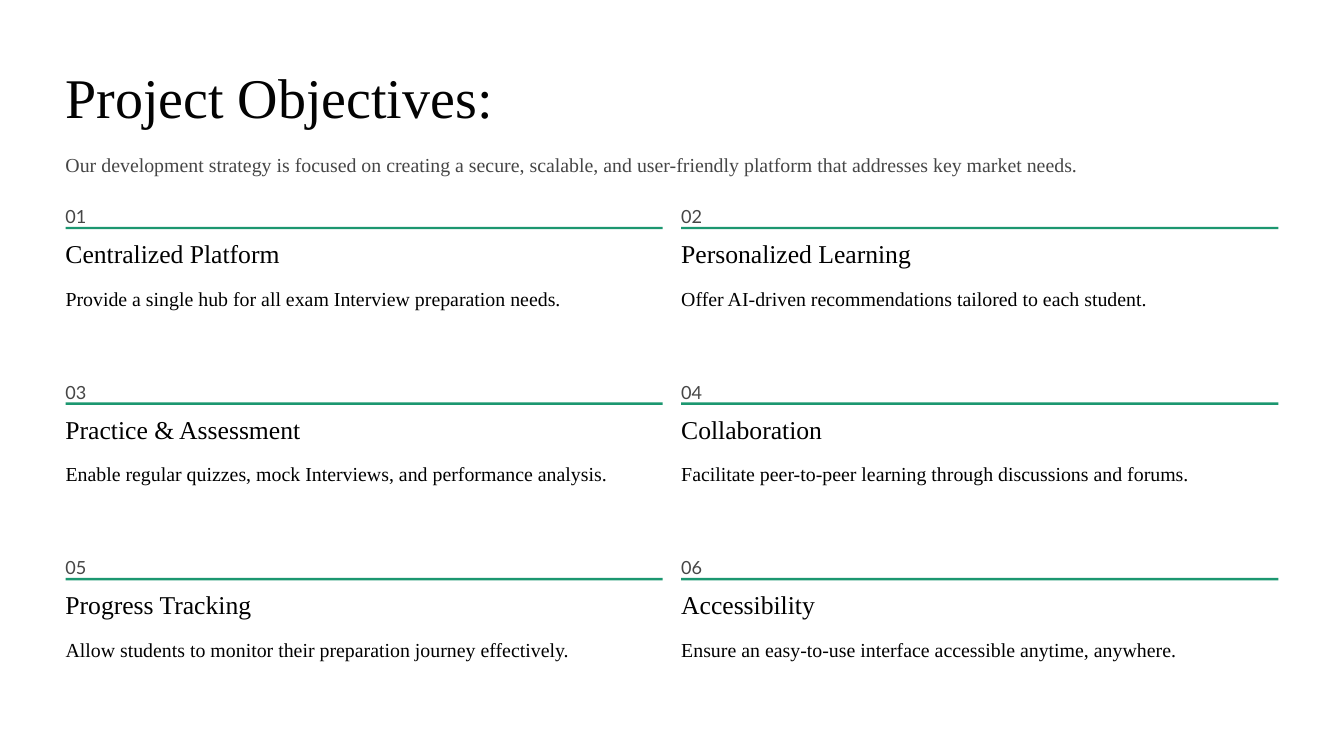
import pptx
import pptx.dml.color
import pptx.enum.shapes
import pptx.util

Inches = pptx.util.Inches
Pt = pptx.util.Pt
RGBColor = pptx.dml.color.RGBColor

WHITE = RGBColor(0xFF, 0xFF, 0xFF)
BLACK = RGBColor(0x00, 0x00, 0x00)
INK = RGBColor(0x03, 0x03, 0x03)
GREY = RGBColor(0x46, 0x46, 0x46)
GREEN = RGBColor(0x1C, 0x97, 0x70)

SERIF = "Times New Roman"
SANS = "Lato"

# Each style: font attributes, line spacing in points, wrapping
STYLES = {
    "title": ({"name": SERIF, "size": Pt(48)}, INK, 49.5, False),
    "intro": ({"name": SERIF, "size": Pt(17)}, GREY, 25.5, False),
    "number": ({"name": SANS, "size": Pt(15.5)}, GREY, 25.5, False),
    "heading": ({"name": SERIF, "size": Pt(22)}, BLACK, 24.5, False),
    "body": ({"name": SERIF, "size": Pt(17)}, BLACK, 25.5, True),
}

SLIDE_WIDTH, SLIDE_HEIGHT = 16, 9
MARGIN = 0.78
COLUMNS = 2
COLUMN_WIDTH, COLUMN_GAP = 7.11, 0.22
GRID_TOP, ROW_PITCH = 2.35, 2.09

OBJECTIVES = [
    ("Centralized Platform",
     "Provide a single hub for all exam Interview preparation needs."),
    ("Personalized Learning",
     "Offer AI-driven recommendations tailored to each student."),
    ("Practice & Assessment",
     "Enable regular quizzes, mock Interviews, and performance analysis."),
    ("Collaboration",
     "Facilitate peer-to-peer learning through discussions and forums."),
    ("Progress Tracking",
     "Allow students to monitor their preparation journey effectively."),
    ("Accessibility",
     "Ensure an easy-to-use interface accessible anytime, anywhere."),
]


def add_text(slide, text, style, left, top, width, height):
    font_format, color, line_spacing, wrap = STYLES[style]
    box = slide.shapes.add_textbox(*map(Inches, (left, top, width, height)))
    frame = box.text_frame
    frame_format = {"margin_left": 0, "margin_top": 0, "margin_right": 0,
                    "margin_bottom": 0, "word_wrap": wrap}
    for name, value in frame_format.items():
        setattr(frame, name, value)
    paragraph = frame.paragraphs[0]
    paragraph.line_spacing = Pt(line_spacing)
    run = paragraph.add_run()
    run.text = text
    for name, value in font_format.items():
        setattr(run.font, name, value)
    run.font.color.rgb = color


def add_rule(slide, left, top, width):
    rule = slide.shapes.add_shape(
        pptx.enum.shapes.MSO_SHAPE.RECTANGLE,
        *map(Inches, (left, top, width, 0.03)))
    rule.shadow.inherit = False
    rule.fill.solid()
    rule.fill.fore_color.rgb = GREEN
    rule.line.fill.background()


def add_header(slide, left, top, width):
    add_text(slide, "Project Objectives:", "title", left, top, 0.8 * width, 0.69)
    add_text(slide, "Our development strategy is focused on creating a secure, "
             "scalable, and user-friendly platform that addresses key market needs.",
             "intro", left, top + 0.89, width, 0.35)


def add_objective(slide, number, heading, body, left, top, width):
    add_text(slide, f"{number:02d}", "number", left, top, 0.3, 0.28)
    add_rule(slide, left, top + 0.35, width)
    add_text(slide, heading, "heading", left, top + 0.51, width / 2, 0.35)
    add_text(slide, body, "body", left, top + 0.99, width, 0.71)


def add_objectives_grid(slide, left, top):
    for index, (heading, body) in enumerate(OBJECTIVES):
        row, column = divmod(index, COLUMNS)
        add_objective(slide, index + 1, heading, body,
                      left + column * (COLUMN_WIDTH + COLUMN_GAP),
                      top + row * ROW_PITCH, COLUMN_WIDTH)


def main():
    presentation = pptx.Presentation()
    presentation.slide_width = Inches(SLIDE_WIDTH)
    presentation.slide_height = Inches(SLIDE_HEIGHT)
    slide = presentation.slides.add_slide(presentation.slide_layouts[6])
    slide.background.fill.solid()
    slide.background.fill.fore_color.rgb = WHITE
    add_header(slide, MARGIN, 0.86, COLUMNS * COLUMN_WIDTH + COLUMN_GAP)
    add_objectives_grid(slide, MARGIN, GRID_TOP)
    presentation.save("out.pptx")


if __name__ == "__main__":
    main()
